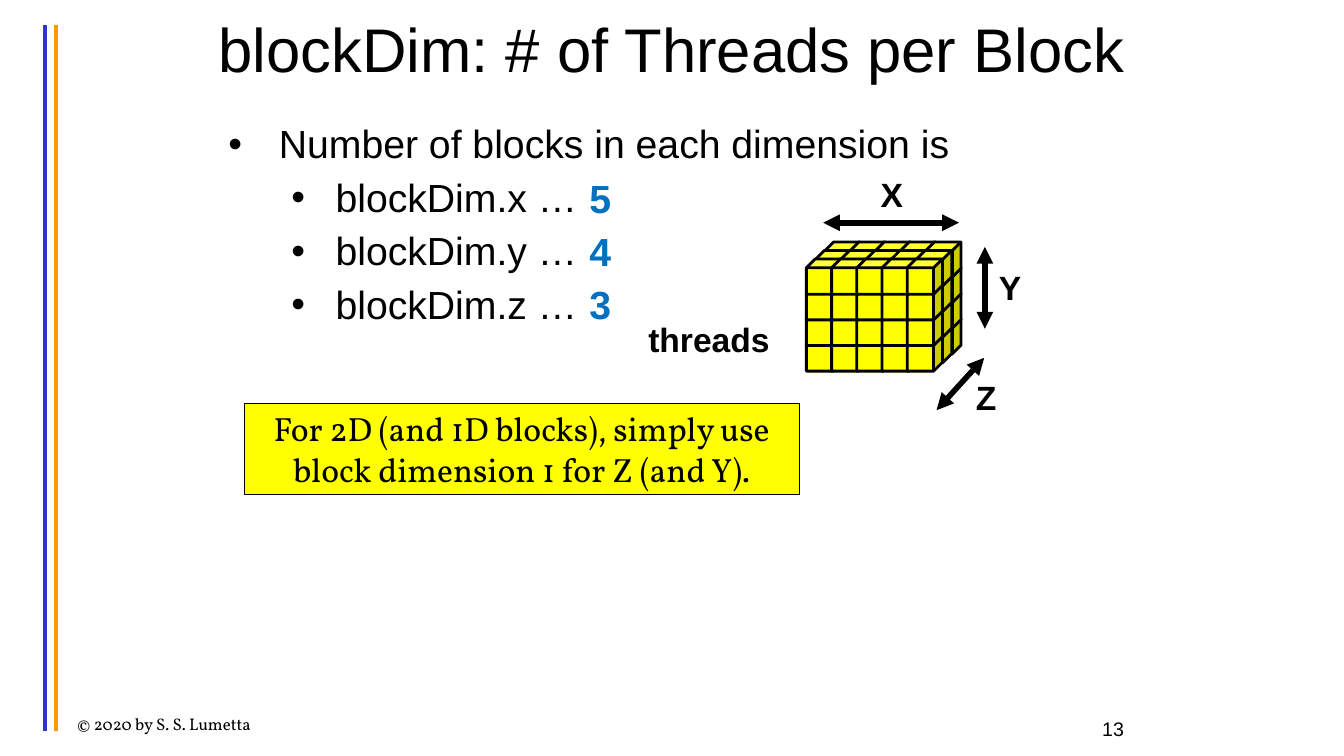
from itertools import product

from lxml import etree
from pptx import Presentation
from pptx.dml.color import RGBColor
from pptx.enum import shapes, text
from pptx.oxml import ns
from pptx.util import Pt

COLORS = {"ink": "000000", "yellow": "FFFF00", "value": "0070C0",
          "blue_bar": "3333CC", "orange_bar": "FF9900"}
SIZES = {"x": 5, "y": 4, "z": 3}


def rgb(name):
    """Return the named colour."""
    return RGBColor.from_string(COLORS[name])


def write(p, lines, color="ink", **fmt):
    """Write lines into a paragraph with one run format."""
    for i, line in enumerate(lines.split("\n")):
        if i:
            p.add_line_break()
        r = p.add_run()
        r.text = line
        for name, value in {"name": "Arial", "bold": False, **fmt}.items():
            setattr(r.font, name, value)
        r.font.color.rgb = rgb(color)


def frame(sp, box, **fmt):
    """Place a shape, format its text frame and return the frame."""
    for name, value in zip(("left", "top", "width", "height"), box):
        setattr(sp, name, Pt(value))
    tf = sp.text_frame
    base = {"word_wrap": True, "auto_size": text.MSO_AUTO_SIZE.NONE,
            "vertical_anchor": text.MSO_ANCHOR.TOP}
    for name, value in {**base, **fmt}.items():
        setattr(tf, name, value)
    return tf


def label(parent, box, words, size=24, align=text.PP_ALIGN.LEFT,
          anchor=text.MSO_ANCHOR.TOP, **fmt):
    """Add a text box holding one paragraph."""
    sp = parent.add_textbox(0, 0, 0, 0)
    p = frame(sp, box, vertical_anchor=anchor).paragraphs[0]
    p.alignment = align
    write(p, words, size=Pt(size), **fmt)


def line(parent, x1, y1, x2, y2, width, color="ink", arrows=()):
    """Add a straight line with optional arrowheads."""
    sp = parent.add_connector(shapes.MSO_CONNECTOR.STRAIGHT,
                              Pt(x1), Pt(y1), Pt(x2), Pt(y2))
    sp.line.width = Pt(width)
    sp.line.color.rgb = rgb(color)
    for end in arrows:
        etree.SubElement(sp.line._get_or_add_ln(), ns.qn("a:" + end), type="triangle")
    etree.SubElement(sp._element.spPr, ns.qn("a:effectLst"))


def solid(parent, kind, box, width):
    """Add a yellow shape with a black outline."""
    sp = parent.add_shape(kind, *map(Pt, box))
    sp.shadow.inherit = False
    sp.fill.solid()
    sp.fill.fore_color.rgb = rgb("yellow")
    sp.line.color.rgb = rgb("ink")
    sp.line.width = Pt(width)
    return sp


def margin_bars(s, x, y, w, h):
    """Draw the two vertical bars at the slide's left margin."""
    for left, color in ((x, "blue_bar"), (x + w, "orange_bar")):
        line(s.shapes, left, y, left, y + h, 3, color)


def title(s, *box):
    """Fill the title placeholder."""
    tf = frame(s.shapes.title, box, vertical_anchor=text.MSO_ANCHOR.MIDDLE)
    p = tf.paragraphs[0]
    p.alignment = text.PP_ALIGN.CENTER
    write(p, "blockDim: # of Threads per Block", size=Pt(44))


def dimension_list(s, x, y, w, h):
    """Fill the body with the dimensions and set their values beside them."""
    tf = frame(s.placeholders[1], (x, y, w, h))
    items = [("Number of blocks in each dimension is", 0, 36, -36)]
    items += [(f"blockDim.{axis} …", 1, 76.5, -31.5) for axis in SIZES]
    for i, (words, level, margin, indent) in enumerate(items):
        p = tf.add_paragraph() if i else tf.paragraphs[0]
        for name, value in {"level": level, "line_spacing": 0.9,
                            "space_before": Pt(8 if i else 0)}.items():
            setattr(p, name, value)
        pPr = p._p.get_or_add_pPr()
        pPr.set("marL", str(Pt(margin)))
        pPr.set("indent", str(Pt(indent)))
        etree.SubElement(pPr, ns.qn("a:buFont"), typeface="Arial")
        etree.SubElement(pPr, ns.qn("a:buChar"), char="•")
        write(p, words, size=Pt(28))
    for i, count in enumerate(SIZES.values()):
        label(s.shapes, (x + 258, y + 35.2 + 37.8 * i, 30, 41), str(count), 28,
              color="value", bold=True)


def thread_block(s, x, y):
    """Draw the block of threads with its labelled axes, from its top left."""
    grp = s.shapes.add_group_shape().shapes
    cell, dx, dy, depth_x, depth_y = 25.2, 18, 18.3, 6.6, 6.1
    nx, ny, nz = SIZES.values()
    for k, j, i in product(reversed(range(nz)), reversed(range(ny)), range(nx)):
        left = x + dx * i + depth_x * k
        top = y + dy * j + depth_y * (nz - 1 - k)
        solid(grp, shapes.MSO_SHAPE.CUBE, (left, top, cell, cell), 2)
    for ends in ((12, -13.7, 109, -13.7), (127.5, 3.6, 127.5, 62),
                 (127, 82.8, 93, 120.2)):
        x1, y1, x2, y2 = ends
        line(grp, x + x1, y + y1, x + x2, y + y2, 4, arrows=("headEnd", "tailEnd"))
    for words, left, top, width in (("threads", -120, 51.8, 102), ("X", 46, -51.8, 31),
                                    ("Y", 130.5, 14.4, 31), ("Z", 114, 92.9, 31)):
        label(grp, (x + left, y + top, width, 36), words, bold=True)


def callout(s, *box):
    """Add the boxed note about lower dimensions."""
    sp = solid(s.shapes, shapes.MSO_SHAPE.RECTANGLE, box, 0.75)
    p = frame(sp, box, word_wrap=False).paragraphs[0]
    p.alignment = text.PP_ALIGN.CENTER
    write(p, "For 2D (and 1D blocks), simply use\nblock dimension 1 for Z (and Y).",
          name="Vollkorn", size=Pt(24))


def footer(s, x, y, w, h):
    """Add the copyright line and the slide number."""
    label(s.shapes, (x, y, 440, 36), "© 2020 by S. S. Lumetta", 12,
          anchor=text.MSO_ANCHOR.BOTTOM, name="Vollkorn")
    label(s.shapes, (x + w - 168, y + 16.5, 168, h - 16.5), "13", 14,
          text.PP_ALIGN.RIGHT)


def block_dim_slide(prs):
    """Build the slide on thread block dimensions."""
    s = prs.slides.add_slide(prs.slide_layouts[1])
    margin_bars(s, 32, 18, 8, 504)
    title(s, 48, 1.5, 864, 65.5)
    dimension_list(s, 156, 85.7, 672, 418)
    thread_block(s, 576, 172.8)
    callout(s, 174.3, 288, 396.7, 65.5)
    footer(s, 48, 491.8, 762, 54)


def main():
    """Create and save the presentation."""
    prs = Presentation()
    prs.slide_width, prs.slide_height = Pt(960), Pt(540)
    block_dim_slide(prs)
    prs.save("out.pptx")


if __name__ == "__main__":
    main()
